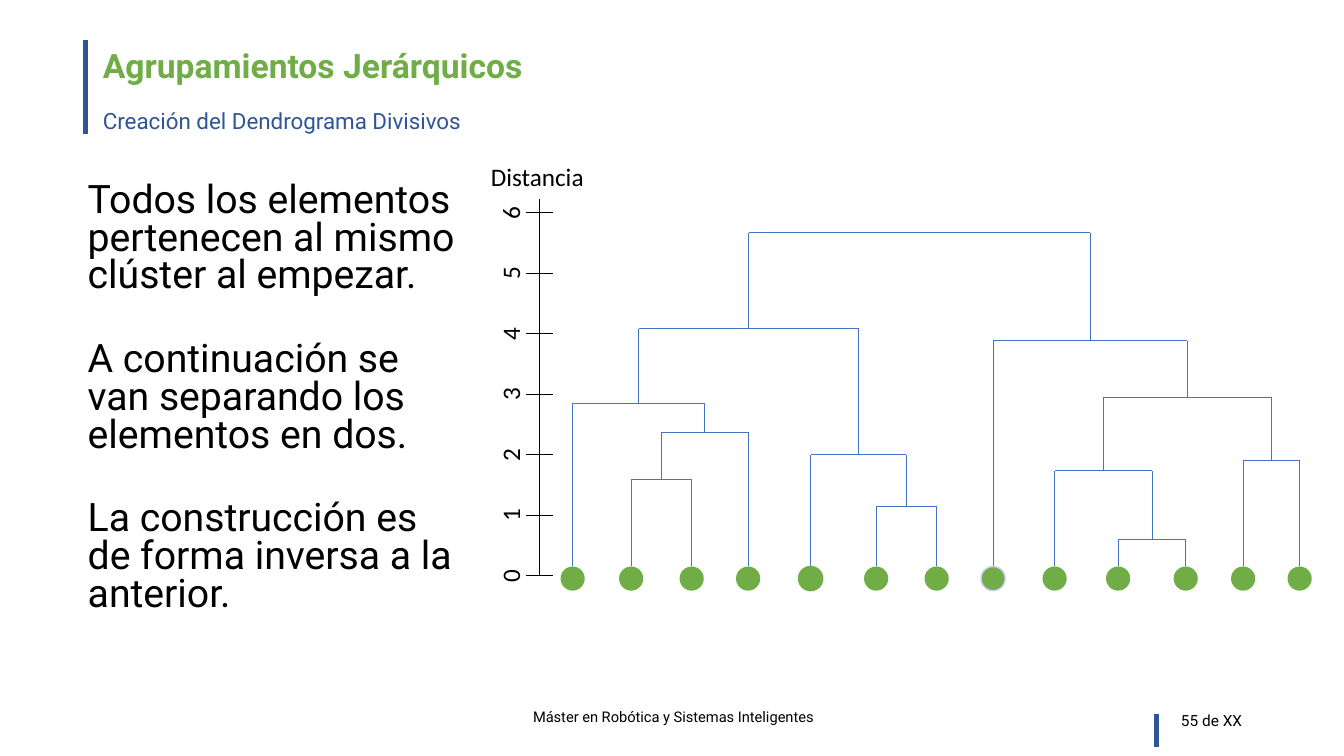
import pptx
import pptx.util
import pptx.dml.color
import pptx.enum.shapes
import pptx.enum.text
from lxml import etree

Inches = pptx.util.Inches
Pt = pptx.util.Pt
RGBColor = pptx.dml.color.RGBColor
Align = pptx.enum.text.PP_ALIGN
Anchor = pptx.enum.text.MSO_ANCHOR
AutoSize = pptx.enum.text.MSO_AUTO_SIZE

GREEN = RGBColor(0x70, 0xAD, 0x47)
NAVY = RGBColor(0x2F, 0x55, 0x97)
BLUE = RGBColor(0x44, 0x72, 0xC4)
LILAC = RGBColor(0xCC, 0xCC, 0xFF)
BLACK = RGBColor(0, 0, 0)

TITLE = "Agrupamientos Jerárquicos"
SUBTITLE = "Creación del Dendrograma Divisivos"
BODY = [
    "Todos los elementos pertenecen al mismo clúster al empezar.",
    "A continuación se van separando los elementos en dos.",
    "La construcción es de forma inversa a la anterior.",
]
FOOTER = "Máster en Robótica y Sistemas Inteligentes"
PAGE_NUMBER = "55 de XX"
AXIS_TITLE = "Distancia"

TITLE_FORMAT = {"name": "Roboto", "size": Pt(24), "bold": True}
SUBTITLE_FORMAT = {"name": "Roboto", "size": Pt(16), "bold": False}
BODY_FORMAT = {"name": "Roboto", "size": Pt(28), "bold": False}
FOOTER_FORMAT = {"name": "Roboto", "size": Pt(10.5)}
PAGE_FORMAT = {"name": "Roboto", "size": Pt(11)}
AXIS_FORMAT = {"name": "Calibri", "size": Pt(18)}

LEAF_CENTERS = [5.68, 6.26, 6.86, 7.42, 8.04, 8.69, 9.29,
                9.85, 10.46, 11.09, 11.76, 12.33, 12.89]
OUTLINED_LEAVES = {4: GREEN, 7: LILAC}
LEAF_SIZE = 0.24
LEAF_TOP = 5.62

LEFT_TREE = ((0, ((1, 2, 4.76), 3, 4.29), 4), (4, (5, 6, 5.02), 4.51), 3.26)
RIGHT_TREE = (7, ((8, (9, 10, 5.35), 4.67), (11, 12, 4.57), 3.94), 3.38)
DENDROGRAM = (LEFT_TREE, RIGHT_TREE, 2.31)

AXIS_X, AXIS_TOP, AXIS_ZERO, AXIS_STEP = 5.35, 1.97, 5.71, 0.6
TICK_COUNT, TICK_HALF = 7, 0.13
LABEL_CENTER, LABEL_WIDTH, LABEL_HEIGHT = 5.06, 0.33, 0.4


def add_line(page, start, end, color, width=0.5):
    """Draw a straight line between two points given in inches."""
    points = [Inches(value) for value in (*start, *end)]
    line = page.shapes.add_connector(pptx.enum.shapes.MSO_CONNECTOR.STRAIGHT, *points)
    line.line.color.rgb = color
    line.line.width = Pt(width)
    etree.SubElement(line._element.spPr, pptx.oxml.ns.qn("a:effectLst"))


def place(box, left, top, width, height):
    """Move and size a box, in inches."""
    box.left, box.top = Inches(left), Inches(top)
    box.width, box.height = Inches(width), Inches(height)


def write(box, texts, text_format, color, align=Align.LEFT, anchor=Anchor.TOP,
          wrap=True, line_spacing=1.0, gap=0):
    """Fill a box with formatted paragraphs without bullets."""
    frame = box.text_frame
    frame.word_wrap = wrap
    frame.auto_size = AutoSize.NONE if wrap else AutoSize.SHAPE_TO_FIT_TEXT
    frame.vertical_anchor = anchor
    for index, text in enumerate(texts):
        para = frame.add_paragraph() if index else frame.paragraphs[0]
        properties = para._p.get_or_add_pPr()
        properties.set("marL", "0")
        properties.set("indent", "0")
        etree.SubElement(properties, pptx.oxml.ns.qn("a:buNone"))
        para.alignment = align
        para.line_spacing = line_spacing
        para.space_before = Pt(gap if index else 0)
        span = para.add_run()
        span.text = text
        for name, value in text_format.items():
            setattr(span.font, name, value)
        span.font.color.rgb = color


def add_label(page, place_at, text, text_format, **options):
    """Add a black one-paragraph text box."""
    box = page.shapes.add_textbox(*[Inches(value) for value in place_at])
    write(box, [text], text_format, BLACK, **options)
    return box


def draw_cluster(page, cluster):
    """Draw a cluster with its branches and return the point where it joins its parent."""
    if isinstance(cluster, int):
        return LEAF_CENTERS[cluster], LEAF_TOP
    *branches, height = cluster
    ends = [draw_cluster(page, branch) for branch in branches]
    for x, y in ends:
        add_line(page, (x, y), (x, height), BLUE)
    left, right = (x for x, _ in ends)
    add_line(page, (left, height), (right, height), BLUE)
    return (left + right) / 2, height


def draw_leaves(page):
    """Draw one dot per element."""
    for index, center in enumerate(LEAF_CENTERS):
        frame = (center - LEAF_SIZE / 2, LEAF_TOP, LEAF_SIZE, LEAF_SIZE)
        leaf = page.shapes.add_shape(pptx.enum.shapes.MSO_SHAPE.OVAL,
                                     *[Inches(value) for value in frame])
        leaf.shadow.inherit = False
        leaf.fill.solid()
        leaf.fill.fore_color.rgb = GREEN
        if index in OUTLINED_LEAVES:
            leaf.line.color.rgb = OUTLINED_LEAVES[index]
            leaf.line.width = Pt(1)
        else:
            leaf.line.fill.background()


def draw_axis(page):
    """Draw the distance axis with ticks and turned numbers."""
    add_line(page, (AXIS_X, AXIS_TOP), (AXIS_X, AXIS_ZERO), BLACK)
    add_label(page, (4.77, 1.55, 1.13, 0.4), AXIS_TITLE, AXIS_FORMAT, wrap=False)
    for value in range(TICK_COUNT):
        y = AXIS_ZERO - value * AXIS_STEP
        add_line(page, (AXIS_X - TICK_HALF, y), (AXIS_X + TICK_HALF, y), BLACK)
        label_at = (LABEL_CENTER - LABEL_WIDTH / 2, y - LABEL_HEIGHT / 2,
                    LABEL_WIDTH, LABEL_HEIGHT)
        label = add_label(page, label_at, str(value), AXIS_FORMAT, wrap=False)
        label.rotation = 270


def main():
    """Build the slide and save it."""
    deck = pptx.Presentation()
    deck.slide_width, deck.slide_height = Inches(13.33), Inches(7.5)
    page = deck.slides.add_slide(deck.slide_layouts.get_by_name("Two Content"))
    title, subtitle, body = page.placeholders

    add_line(page, (0.85, 0.4), (0.85, 1.33), NAVY, 3.25)
    add_line(page, (11.47, 7.08), (11.47, 7.41), NAVY, 3.25)

    place(title, 0.92, 0.4, 11.5, 0.55)
    write(title, [TITLE], TITLE_FORMAT, GREEN, anchor=Anchor.MIDDLE, line_spacing=0.9)
    place(subtitle, 0.92, 1.04, 11.5, 0.53)
    write(subtitle, [SUBTITLE], SUBTITLE_FORMAT, NAVY, line_spacing=0.9)
    place(body, 0.77, 1.77, 3.95, 4.76)
    write(body, BODY, BODY_FORMAT, BLACK, line_spacing=0.8, gap=33)

    draw_cluster(page, DENDROGRAM)
    draw_leaves(page)
    draw_axis(page)

    add_label(page, (4.43, 6.91, 4.5, 0.4), FOOTER, FOOTER_FORMAT,
              align=Align.CENTER, anchor=Anchor.MIDDLE)
    add_label(page, (9.42, 6.95, 3, 0.4), PAGE_NUMBER, PAGE_FORMAT,
              align=Align.RIGHT, anchor=Anchor.MIDDLE)
    deck.save("out.pptx")


if __name__ == "__main__":
    main()
